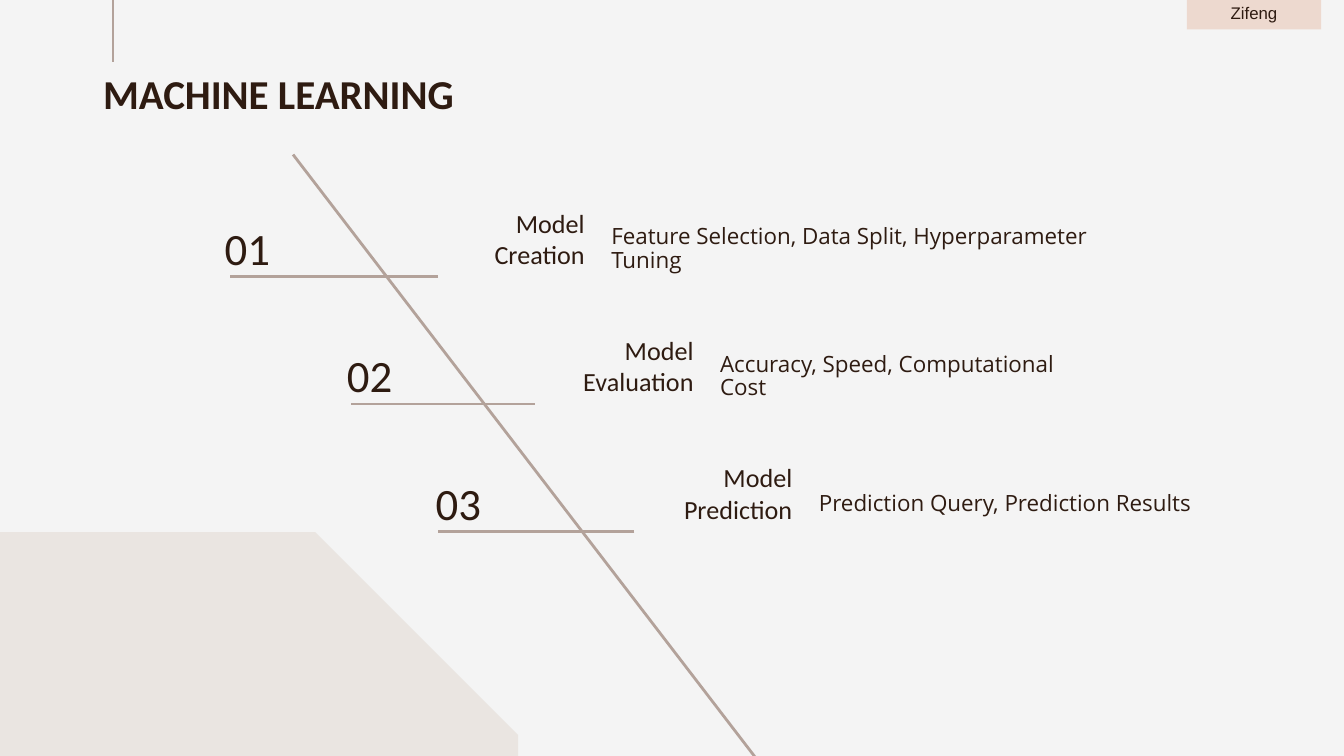
"""Build the machine learning agenda slide."""
from lxml import etree
from pptx import Presentation
from pptx.dml.color import RGBColor
from pptx.enum.shapes import MSO_CONNECTOR, MSO_SHAPE
from pptx.enum.text import MSO_ANCHOR, PP_ALIGN
from pptx.oxml.ns import qn
from pptx.util import Pt

LEFT, CENTER, RIGHT = PP_ALIGN.LEFT, PP_ALIGN.CENTER, PP_ALIGN.RIGHT
TOP, MIDDLE, BOTTOM = MSO_ANCHOR.TOP, MSO_ANCHOR.MIDDLE, MSO_ANCHOR.BOTTOM
RECTANGLE, SNIPPED = MSO_SHAPE.RECTANGLE, MSO_SHAPE.SNIP_1_RECTANGLE
STRAIGHT = MSO_CONNECTOR.STRAIGHT

PAPER = RGBColor(0xF4, 0xF4, 0xF4)
SAND = RGBColor(0xEA, 0xE5, 0xE1)
BLUSH = RGBColor(0xED, 0xD9, 0xCF)
TAUPE = RGBColor(0xB3, 0xA2, 0x9A)
BROWN = RGBColor(0x2E, 0x1B, 0x11)

ROW_STEP = 68.2
STEPS = [
    ("01", 104.4, 123.1, 234.7, 320.4, 98.6, "Model Creation",
     302, "Feature Selection, Data Split, Hyperparameter Tuning"),
    ("02", 169.9, 187.9, 286.6, 378.7, 105.1, "Model Evaluation",
     216, "Accuracy, Speed, Computational Cost"),
    ("03", 217.4, 234.7, 339.8, 431.6, 105.1, "Model Prediction",
     216, "Prediction Query, Prediction Results"),
]


class SlideBuilder:
    def __init__(self, page):
        self.page = page
        self.ink = BROWN
        self.rule = TAUPE
        self.inset = Pt(7.2)
        fill = page.background.fill
        fill.solid()
        fill.fore_color.rgb = PAPER

    def add_words(self, box, words, size, font, align, anchor, bold=False, spacing=1.0):
        frame = box.text_frame
        frame.word_wrap = True
        frame.vertical_anchor = anchor
        frame.margin_left = frame.margin_right = self.inset
        para = frame.paragraphs[0]
        para.alignment = align
        para.line_spacing = spacing
        span = para.add_run()
        span.text = words
        span.font.size = Pt(size)
        span.font.name = font
        span.font.bold = bold
        span.font.color.rgb = self.ink

    def text(self, left, top, width, height, words, size, font,
             align=LEFT, anchor=MIDDLE, bold=False, spacing=1.0):
        box = self.page.shapes.add_textbox(Pt(left), Pt(top), Pt(width), Pt(height))
        box.text_frame.margin_top = box.text_frame.margin_bottom = self.inset
        self.add_words(box, words, size, font, align, anchor, bold, spacing)

    def shape(self, kind, left, top, width, height, color):
        shape = self.page.shapes.add_shape(kind, Pt(left), Pt(top), Pt(width), Pt(height))
        shape.shadow.inherit = False
        shape.fill.solid()
        shape.fill.fore_color.rgb = color
        shape.line.fill.background()
        return shape

    def line(self, x1, y1, x2, y2):
        line = self.page.shapes.add_connector(STRAIGHT, Pt(x1), Pt(y1), Pt(x2), Pt(y2))
        line.line.color.rgb = self.rule
        line.line.width = Pt(1.5)
        etree.SubElement(line._element.spPr, qn("a:effectLst"))


def main():
    deck = Presentation()
    deck.slide_width, deck.slide_height = Pt(720), Pt(405)
    slide = SlideBuilder(deck.slides.add_slide(deck.slide_layouts[6]))

    corner = slide.shape(SNIPPED, -139.7, 285.1, 417.3, 217.4, SAND)
    corner.adjustments[0] = 0.5
    slide.text(48.2, 29.5, 282, 74, "MACHINE LEARNING", 22, "Calibri", anchor=TOP, bold=True)
    slide.line(157, 82.8, 406, 407.5)
    slide.line(60.5, -2, 60.5, 33.1)

    for row, step in enumerate(STEPS):
        number, number_left, start, end, split, width, heading, detail_width, detail = step
        drop = row * ROW_STEP
        slide.text(number_left, 105.6 + drop, 56.2, 54, number, 24, "Calibri", CENTER)
        slide.line(end, 148.2 + drop, start, 148.2 + drop)
        slide.text(split - width, 113.6 + drop, width, 38.2, heading, 14, "Calibri",
                   RIGHT, BOTTOM)
        slide.text(split, 114.6 + drop, detail_width, 38.2, detail, 12, "Open Sans",
                   spacing=0.88)

    tag = slide.shape(RECTANGLE, 635.8, -5.8, 72, 21.6, BLUSH)
    slide.add_words(tag, "Zifeng", 9, "Arial", CENTER, BOTTOM)
    deck.save("out.pptx")


if __name__ == "__main__":
    main()
